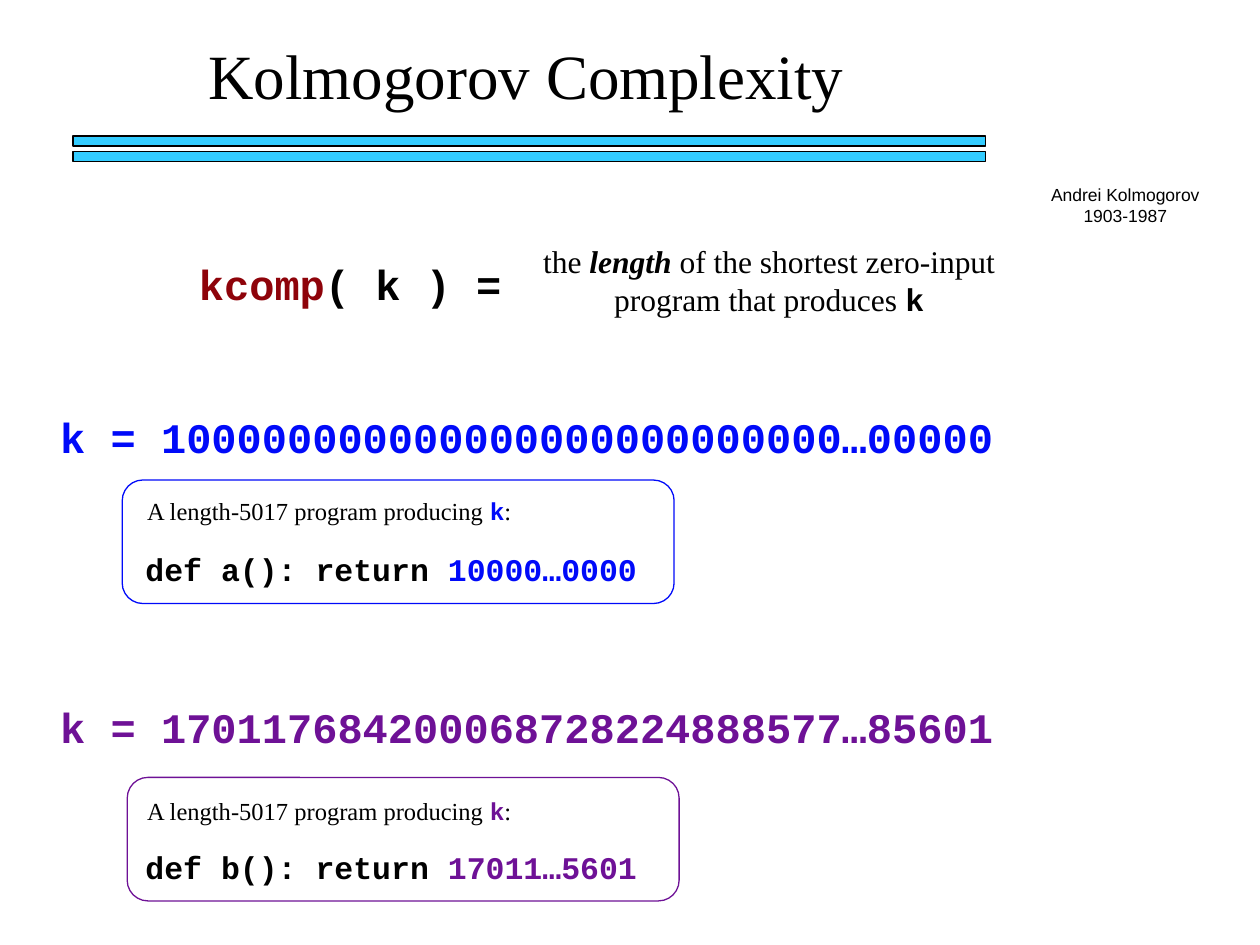
import pptx
import pptx.util
import pptx.dml.color
import pptx.enum.shapes
import pptx.enum.text
from pptx.util import Inches

BLUE, PURPLE, RED, BLACK, CYAN = "000AF9", "6E1196", "8E030A", "000000", "33CCFF"
SERIF, MONO, SANS = "Times New Roman", "Courier New", "Arial"
CENTER = pptx.enum.text.PP_ALIGN.CENTER
LEFT = pptx.enum.text.PP_ALIGN.LEFT
SHAPE = pptx.enum.shapes.MSO_SHAPE
rgb = pptx.dml.color.RGBColor.from_string

prs = pptx.Presentation()
prs.slide_width, prs.slide_height = Inches(10), Inches(7.5)
s = prs.slides.add_slide(prs.slide_layouts[6])


def add_text(text, p=None, at=None, size=18, font=SERIF, color=BLACK,
             bold=False, italic=False, align=LEFT, wrap=True):
    if p is None:
        tf = s.shapes.add_textbox(*map(Inches, at)).text_frame
        tf.word_wrap = wrap
        p = tf.paragraphs[0]
        p.alignment = align
    r = p.add_run()
    r.text = text
    r.font.size = pptx.util.Pt(size)
    r.font.name = font
    r.font.bold = bold
    r.font.italic = italic
    r.font.color.rgb = rgb(color)
    return p


def add_box(kind, at, line, fill=None):
    sp = s.shapes.add_shape(kind, *map(Inches, at))
    sp.shadow.inherit = False
    sp.line.color.rgb = rgb(line)
    sp.line.width = pptx.util.Pt(0.75)
    if fill:
        sp.fill.solid()
        sp.fill.fore_color.rgb = rgb(fill)
    else:
        sp.fill.background()


add_text("Kolmogorov Complexity", at=(1.02, 0.24, 6.31, 0.7), size=36, align=CENTER)
for y in (1.08, 1.2):
    add_box(SHAPE.RECTANGLE, (0.58, y, 7.24, 0.08), BLACK, CYAN)

sp = s.shapes.add_textbox(Inches(8.24), Inches(1.41), Inches(1.38), Inches(0.43))
tf = sp.text_frame
tf.word_wrap = False
for p, line in ((tf.paragraphs[0], "Andrei Kolmogorov"), (tf.add_paragraph(), "1903-1987")):
    p.alignment = CENTER
    add_text(line, p, size=10, font=SANS)

p = add_text("kcomp", at=(1.48, 2, 3.69, 0.5), size=24, font=MONO, color=RED, bold=True)
add_text("( k ) =", p, size=24, font=MONO, bold=True)

p = add_text("the ", at=(3.9, 1.87, 4.41, 0.7), align=CENTER)
add_text("length ", p, bold=True, italic=True)
add_text("of the shortest zero-input program that produces ", p)
add_text("k", p, font=MONO, bold=True)

examples = [
    (BLUE, "k = 100000000000000000000000000…00000", 3.22,
     (0.97, 3.81), 3.89, "def a(): return", " 10000…0000 ", 4.32),
    (PURPLE, "k = 170117684200068728224888577…85601", 5.52,
     (1.01, 6.17), 6.27, "def b(): return", " 17011…5601 ", 6.68),
]
for color, number, number_y, corner, label_y, code, value, code_y in examples:
    add_text(number, at=(0.38, number_y, 7.6, 0.5), size=24, font=MONO,
             color=color, bold=True, wrap=False)
    add_box(SHAPE.ROUNDED_RECTANGLE, (*corner, 4.38, 0.98), color)
    p = add_text("A length-5017 program producing ", at=(1.07, label_y, 3.12, 0.34),
                 size=14, wrap=False)
    add_text("k", p, size=14, font=MONO, color=color, bold=True)
    add_text(":", p, size=14)
    p = add_text(code, at=(0.86, code_y, 4.64, 0.4), font=MONO, bold=True, align=CENTER)
    add_text(value, p, font=MONO, color=color, bold=True)

prs.save("out.pptx")
